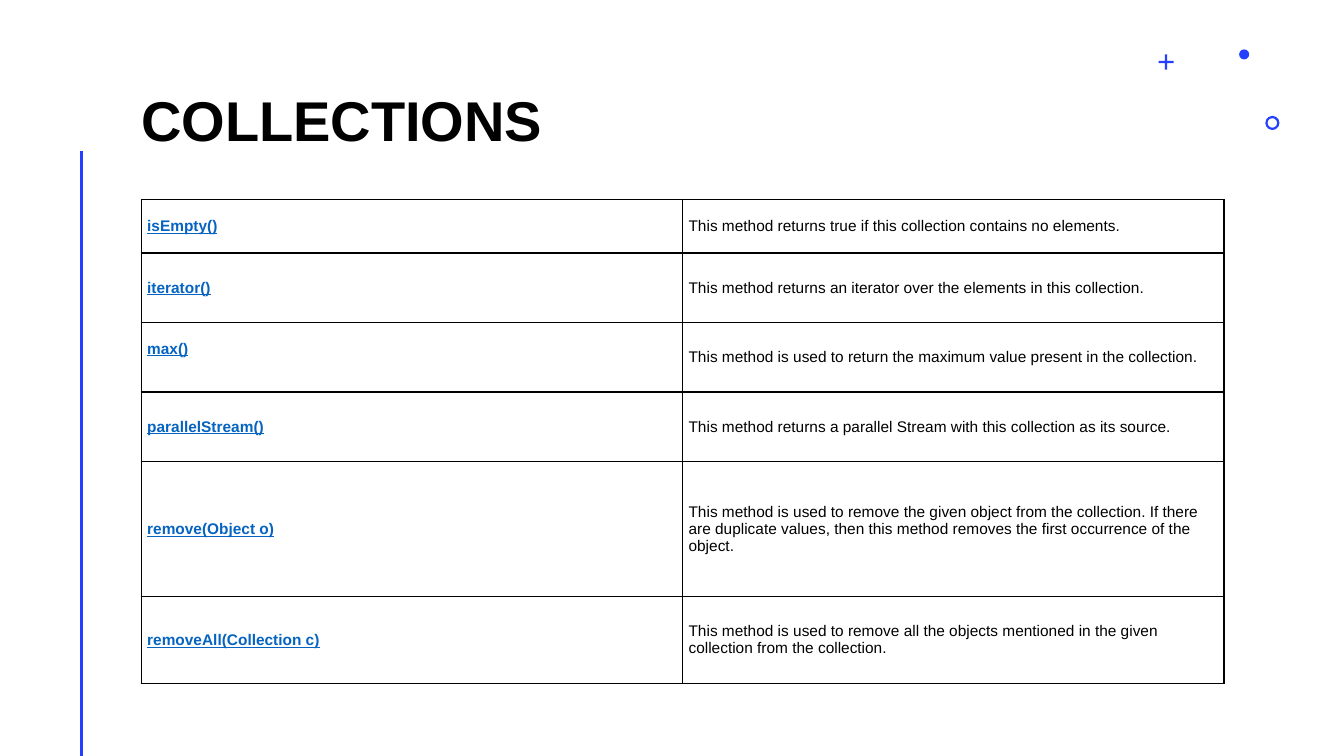
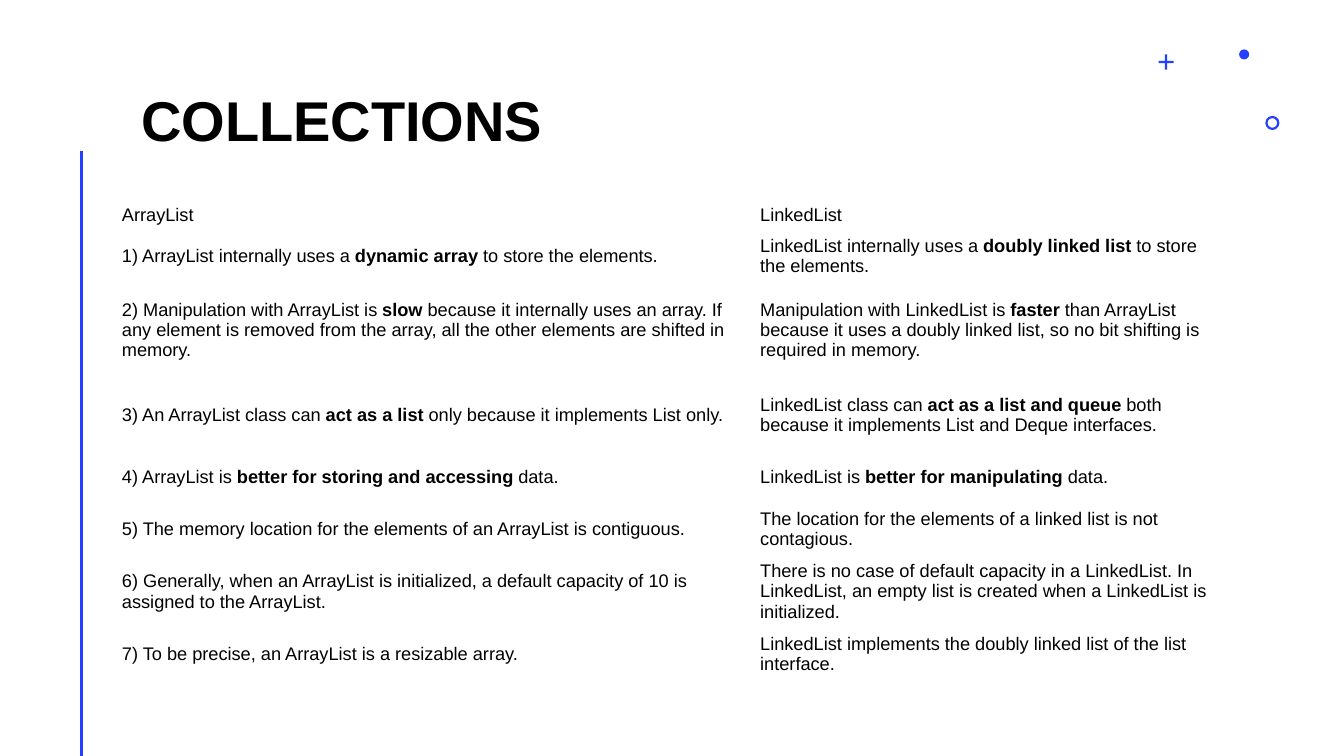
import lxml.etree
import pptx
import pptx.dml.color
import pptx.enum.shapes
import pptx.enum.text
import pptx.oxml.ns
import pptx.util

RGBColor = pptx.dml.color.RGBColor
SHAPE = pptx.enum.shapes.MSO_SHAPE
ANCHOR = pptx.enum.text.MSO_ANCHOR
qn = pptx.oxml.ns.qn

PX = 9144  # EMU per px, 100 px to the inch
PAGE_WIDTH, PAGE_HEIGHT = 1333, 750
BLUE = RGBColor(0x24, 0x3F, 0xFF)
LINK_BLUE = RGBColor(0x05, 0x63, 0xC1)
BLACK = RGBColor(0, 0, 0)
FONT = "Arial"

METHODS = [
    ("isEmpty()", "This method returns true if this collection contains no elements."),
    ("iterator()", "This method returns an iterator over the elements in this collection."),
    ("max()", "This method is used to return the maximum value present in the collection."),
    ("parallelStream()",
     "This method returns a parallel Stream with this collection as its source."),
    ("remove(Object o)",
     "This method is used to remove the given object from the collection. If there are "
     "duplicate values, then this method removes the first occurrence of the object."),
    ("removeAll(Collection c)",
     "This method is used to remove all the objects mentioned in the given collection "
     "from the collection."),
]

# Asterisks enclose bold words
COMPARISON = [
    ("ArrayList", "LinkedList"),
    ("1) ArrayList internally uses a *dynamic array* to store the elements.",
     "LinkedList internally uses a *doubly linked list* to store the elements."),
    ("2) Manipulation with ArrayList is *slow* because it internally uses an array. If any "
     "element is removed from the array, all the other elements are shifted in memory.",
     "Manipulation with LinkedList is *faster* than ArrayList because it uses a doubly "
     "linked list, so no bit shifting is required in memory."),
    ("3) An ArrayList class can *act as a list* only because it implements List only.",
     "LinkedList class can *act as a list and queue* both because it implements List and "
     "Deque interfaces."),
    ("4) ArrayList is *better for storing and accessing* data.",
     "LinkedList is *better for manipulating* data."),
    ("5) The memory location for the elements of an ArrayList is contiguous.",
     "The location for the elements of a linked list is not contagious."),
    ("6) Generally, when an ArrayList is initialized, a default capacity of 10 is assigned "
     "to the ArrayList.",
     "There is no case of default capacity in a LinkedList. In LinkedList, an empty list is "
     "created when a LinkedList is initialized."),
    ("7) To be precise, an ArrayList is a resizable array.",
     "LinkedList implements the doubly linked list of the list interface."),
]


def px(*lengths):
    return [pptx.util.Emu(length * PX) for length in lengths]


def set_font(font, size, color=BLACK, bold=False):
    font.name = FONT
    font.size = pptx.util.Pt(size)
    font.color.rgb = color
    font.bold = bold


def add_ornament(page, kind, left, top, size, adjustment=None):
    shape = page.shapes.add_shape(kind, *px(left, top, size, size))
    shape.shadow.inherit = False
    shape.fill.solid()
    shape.fill.fore_color.rgb = BLUE
    shape.line.fill.background()
    if adjustment is not None:
        shape.adjustments[0] = adjustment


def add_side_line(page):
    line = page.shapes.add_connector(
        pptx.enum.shapes.MSO_CONNECTOR.STRAIGHT, *px(81, 150, 81, PAGE_HEIGHT))
    line.line.color.rgb = BLUE
    line.line.width = pptx.util.Pt(2)
    lxml.etree.SubElement(line._element.spPr, qn("a:effectLst"))


def add_title(page, title):
    box = page.shapes.add_textbox(*px(140, 75, 999, 77))
    frame = box.text_frame
    frame.word_wrap = True
    frame.vertical_anchor = ANCHOR.BOTTOM
    frame.margin_left = frame.margin_right = frame.margin_top = frame.margin_bottom = 0
    para = frame.paragraphs[0]
    para.text = title
    para.line_spacing = pptx.util.Pt(40)
    set_font(para.font, 40, bold=True)


def add_page(deck, title):
    page = deck.slides.add_slide(deck.slide_layouts[6])
    add_side_line(page)
    add_ornament(page, SHAPE.CROSS, 1149, 54, 15, 0.43)
    add_ornament(page, SHAPE.DONUT, 1255, 115, 14, 0.16)
    add_ornament(page, SHAPE.OVAL, 1229, 49, 10)
    add_title(page, title)
    return page


def add_borders(cell):
    properties = cell._tc.get_or_add_tcPr()
    for index, side in enumerate(("lnL", "lnR", "lnT", "lnB")):
        border = lxml.etree.Element(qn("a:" + side), w=str(pptx.util.Pt(1)))
        fill = lxml.etree.SubElement(border, qn("a:solidFill"))
        lxml.etree.SubElement(fill, qn("a:srgbClr"), val=str(BLACK))
        properties.insert(index, border)


def fill_cell(cell, text, size, margins):
    cell.fill.background()
    cell.vertical_anchor = ANCHOR.MIDDLE
    side, edge = px(*margins)
    cell.margin_left = cell.margin_right = side
    cell.margin_top = cell.margin_bottom = edge
    para = cell.text_frame.paragraphs[0]
    set_font(para.font, size)
    for index, part in enumerate(text.split("*")):
        span = para.add_run()
        span.text = part
        if index % 2:
            span.font.bold = True


def add_text_table(page, rows, left, top, widths, heights, size, margins):
    frame = page.shapes.add_table(
        len(rows), len(widths), *px(left, top, sum(widths), sum(heights)))
    table = frame.table
    table.first_row = table.horz_banding = False
    for column, width in zip(table.columns, px(*widths)):
        column.width = width
    for row, height, texts in zip(table.rows, px(*heights), rows):
        row.height = height
        for cell, text in zip(row.cells, texts):
            fill_cell(cell, text, size, margins)
    return table


def add_method_table(page):
    table = add_text_table(page, METHODS, 140, 198, [537] * 2,
                           [53, 69, 69, 69, 134, 86], 11, (6, 3))
    for cell in table.iter_cells():
        add_borders(cell)
    for row in table.rows:
        font = row.cells[0].text_frame.paragraphs[0].font
        set_font(font, 11, LINK_BLUE, bold=True)
        font.underline = True
    # max() sits one line higher than its description
    table.cell(2, 0).margin_bottom = px(20)[0]


def main():
    deck = pptx.Presentation()
    deck.slide_width, deck.slide_height = px(PAGE_WIDTH, PAGE_HEIGHT)

    # Methods of a collection
    add_method_table(add_page(deck, "COLLECTIONS"))

    # ArrayList against LinkedList
    add_text_table(add_page(deck, "COLLECTIONS"), COMPARISON, 114, 199, [633, 472],
                   [29, 51, 95, 73, 51, 51, 73, 51], 13, (7, 4))

    deck.save("out.pptx")


if __name__ == "__main__":
    main()
